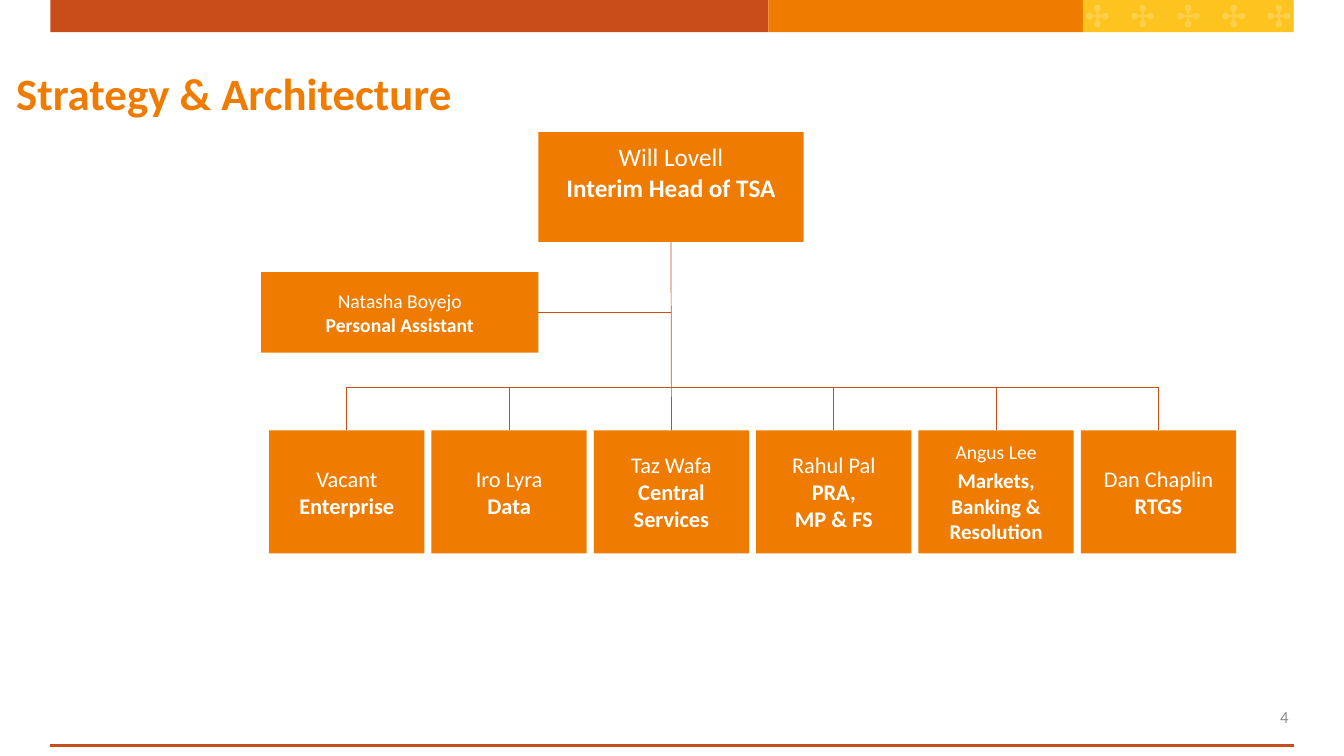
from dataclasses import dataclass
from math import cos, radians, sin

from lxml.etree import SubElement
from pptx import Presentation
from pptx.dml.color import RGBColor
from pptx.enum.shapes import MSO_CONNECTOR, MSO_SHAPE
from pptx.enum.text import MSO_ANCHOR, PP_ALIGN
from pptx.oxml.ns import qn
from pptx.shapes.autoshape import Shape
from pptx.shapes.connector import Connector
from pptx.slide import Slide
from pptx.text.text import Font
from pptx.util import Inches, Pt


@dataclass(frozen=True)
class Theme:
    font: str = "Calibri"
    rust: RGBColor = RGBColor(0xC9, 0x4D, 0x1B)
    orange: RGBColor = RGBColor(0xEF, 0x7B, 0x00)
    yellow: RGBColor = RGBColor(0xFD, 0xC4, 0x1F)
    white: RGBColor = RGBColor(0xFF, 0xFF, 0xFF)
    grey: RGBColor = RGBColor(0x8C, 0x8C, 0x8C)
    title_size: float = 32
    head_size: float = 18
    team_size: float = 16
    dense_role_size: float = 15
    small_size: float = 14
    page_size: float = 12
    chart_line: float = 0.5
    footer_line: float = 2.25


@dataclass(frozen=True)
class Band:
    left: float
    width: float
    color: RGBColor


@dataclass(frozen=True)
class Post:
    """One box of the chart: a person's name over one or more lines of role."""
    name: str
    role: tuple[str, ...]
    name_size: float
    role_size: float
    inset: float | None = None
    bottom_inset: float | None = None
    space_after: float = 0


THEME = Theme()

BANDS = (
    Band(0.5, 7.12, THEME.rust),
    Band(7.62, 3.13, THEME.orange),
    Band(10.74, 2.09, THEME.yellow),
)
BAND_HEIGHT = 0.32

HEAD = Post("Will Lovell", ("Interim Head of TSA",), THEME.head_size, THEME.head_size,
            bottom_inset=0.35)
ASSISTANT = Post("Natasha Boyejo", ("Personal Assistant",), THEME.small_size, THEME.small_size)
TEAMS = (
    Post("Vacant", ("Enterprise",), THEME.team_size, THEME.team_size),
    Post("Iro Lyra", ("Data",), THEME.team_size, THEME.team_size),
    Post("Taz Wafa", ("Central Services",), THEME.team_size, THEME.team_size),
    Post("Rahul Pal", ("PRA,", "MP & FS"), THEME.team_size, THEME.team_size),
    Post("Angus Lee", ("Markets, Banking & Resolution",), THEME.small_size,
         THEME.dense_role_size, inset=0.04, space_after=3),
    Post("Dan Chaplin", ("RTGS",), THEME.team_size, THEME.team_size),
)
TEAM_LEFT, TEAM_TOP, TEAM_PITCH = 2.67, 4.27, 1.61
TEAM_WIDTH, TEAM_HEIGHT = 1.54, 1.22
TRUNK_TEAM = 2
BUS_Y = 3.84

CROSS_LEFT, CROSS_PITCH, CROSS_COUNT, CROSS_Y = 10.885, 0.45, 5, 0.16
PETAL_OFFSET, PETAL_RADIUS, ARM_HALF_WIDTH = 0.08, 0.033, 0.012


def style_font(font: Font, size: float, color: RGBColor, bold: bool = False) -> None:
    font.name = THEME.font
    font.size = Pt(size)
    font.bold = bold
    font.color.rgb = color


def paint(shape: Shape, color: RGBColor) -> None:
    shape.shadow.inherit = False
    shape.fill.solid()
    shape.fill.fore_color.rgb = color
    shape.line.fill.background()


def add_block(slide: Slide, left: float, top: float, width: float, height: float,
              color: RGBColor) -> Shape:
    block = slide.shapes.add_shape(MSO_SHAPE.RECTANGLE, Inches(left), Inches(top),
                                   Inches(width), Inches(height))
    paint(block, color)
    return block


def add_cross(slide: Slide, center_x: float, center_y: float) -> None:
    """Draw a translucent four-petalled cross as one outline."""
    outline = []
    for turn in map(radians, range(0, 360, 90)):
        petal = [(ARM_HALF_WIDTH, -ARM_HALF_WIDTH)]
        petal += [(PETAL_OFFSET + PETAL_RADIUS * cos(radians(angle)),
                   PETAL_RADIUS * sin(radians(angle))) for angle in range(-160, 161, 20)]
        outline += [(Inches(center_x + x * cos(turn) - y * sin(turn)),
                     Inches(center_y + x * sin(turn) + y * cos(turn))) for x, y in petal]
    builder = slide.shapes.build_freeform(*outline[0])
    builder.add_line_segments(outline[1:], close=True)
    cross = builder.convert_to_shape()
    paint(cross, THEME.white)
    tint = cross._element.spPr.find(qn("a:solidFill"))[0]
    SubElement(tint, qn("a:alpha"), val="20000")


def add_line(slide: Slide, start: tuple[float, float], end: tuple[float, float],
             weight: float = THEME.chart_line) -> Connector:
    line = slide.shapes.add_connector(MSO_CONNECTOR.STRAIGHT,
                                      *map(Inches, start), *map(Inches, end))
    line.line.color.rgb = THEME.rust
    line.line.width = Pt(weight)
    SubElement(line._element.spPr, qn("a:effectLst"))
    return line


def add_post(slide: Slide, post: Post, left: float, top: float,
             width: float, height: float) -> Shape:
    box = add_block(slide, left, top, width, height, THEME.orange)
    frame = box.text_frame
    frame.word_wrap = True
    frame.vertical_anchor = MSO_ANCHOR.MIDDLE
    if post.inset is not None:
        frame.margin_left = frame.margin_right = Inches(post.inset)
        frame.margin_top = frame.margin_bottom = Inches(post.inset)
    if post.bottom_inset is not None:
        frame.margin_bottom = Inches(post.bottom_inset)
    frame.text = "\n".join((post.name, *post.role))
    for index, paragraph in enumerate(frame.paragraphs):
        paragraph.alignment = PP_ALIGN.CENTER
        paragraph.space_after = Pt(post.space_after)
        size = post.role_size if index else post.name_size
        style_font(paragraph.runs[0].font, size, THEME.white, bold=index > 0)
    return box


def add_frame(slide: Slide) -> None:
    """Draw the top band, the footer rule, the title and the page number."""
    for band in BANDS:
        add_block(slide, band.left, 0, band.width, BAND_HEIGHT, band.color)
    for index in range(CROSS_COUNT):
        add_cross(slide, CROSS_LEFT + index * CROSS_PITCH, CROSS_Y)
    add_line(slide, (0.5, 7.4), (12.83, 7.4), THEME.footer_line)

    title = slide.shapes.title
    title.left, title.top = Inches(0.16), Inches(0.42)
    title.width, title.height = Inches(12.56), Inches(1)
    heading = title.text_frame
    heading.margin_left = heading.margin_right = heading.margin_top = heading.margin_bottom = 0
    heading.vertical_anchor = MSO_ANCHOR.MIDDLE
    heading.text = "Strategy & Architecture"
    heading.paragraphs[0].alignment = PP_ALIGN.LEFT
    style_font(heading.paragraphs[0].runs[0].font, THEME.title_size, THEME.orange, bold=True)

    page = slide.shapes.add_textbox(Inches(11.72), Inches(6.91), Inches(1.16), Inches(0.4))
    number = page.text_frame
    number.word_wrap = True
    number.vertical_anchor = MSO_ANCHOR.MIDDLE
    number.text = "4"
    number.paragraphs[0].alignment = PP_ALIGN.RIGHT
    style_font(number.paragraphs[0].runs[0].font, THEME.page_size, THEME.grey)


def add_org_chart(slide: Slide) -> None:
    head = add_post(slide, HEAD, 5.34, 1.31, 2.63, 1.09)
    assistant = add_post(slide, ASSISTANT, 2.59, 2.7, 2.75, 0.8)
    centers = [TEAM_LEFT + index * TEAM_PITCH + TEAM_WIDTH / 2 for index in range(len(TEAMS))]
    trunk_x = centers[TRUNK_TEAM]

    add_line(slide, (centers[0], BUS_Y), (centers[-1], BUS_Y))
    for index, (team, center) in enumerate(zip(TEAMS, centers)):
        box = add_post(slide, team, center - TEAM_WIDTH / 2, TEAM_TOP, TEAM_WIDTH, TEAM_HEIGHT)
        drop = add_line(slide, (center, BUS_Y), (center, TEAM_TOP))
        if index == TRUNK_TEAM:
            drop.begin_connect(head, 2)
        drop.end_connect(box, 0)
    branch = add_line(slide, (5.34, 3.1), (trunk_x, 3.1))
    branch.begin_connect(assistant, 3)


def main() -> None:
    deck = Presentation()
    deck.slide_width, deck.slide_height = Inches(13.33), Inches(7.5)
    slide = deck.slides.add_slide(deck.slide_layouts[5])
    add_frame(slide)
    add_org_chart(slide)
    deck.save("out.pptx")


if __name__ == "__main__":
    main()
